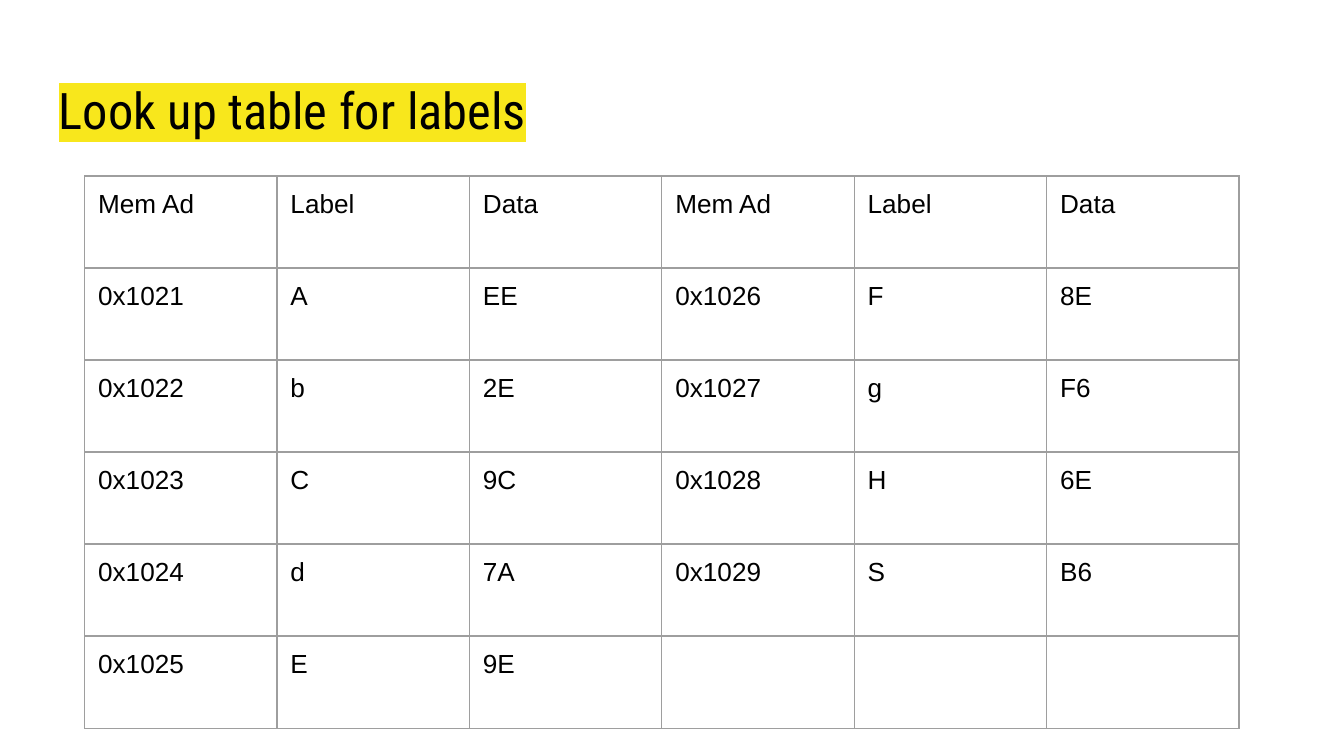
"""Build a slide with a look up table of labels, memory addresses and data."""
from lxml import etree
from pptx import Presentation
from pptx.dml.color import RGBColor
from pptx.enum import text as t
from pptx.oxml import ns
from pptx.util import Inches, Pt

BLACK = RGBColor(0x00, 0x00, 0x00)
YELLOW = RGBColor(0xF8, 0xE7, 0x1C)
GREY = RGBColor(0x9E, 0x9E, 0x9E)

TITLE = "Look up table for labels"
HEADINGS = ("Mem Ad", "Label", "Data")
FIRST_ADDRESS = 0x1021
ENTRIES = [
    ("A", "EE"), ("b", "2E"), ("C", "9C"), ("d", "7A"), ("E", "9E"),
    ("F", "8E"), ("g", "F6"), ("H", "6E"), ("S", "B6"),
]
ENTRIES_PER_BLOCK = 5
BLOCKS = 2
SLIDE_WIDTH = Inches(10)
SLIDE_HEIGHT = SLIDE_WIDTH * 9 // 16
LOOKUP_WIDTH, LOOKUP_HEIGHT = Inches(8.59), Inches(4.11)
INSET = Inches(0.1)


def add_color(parent, tag, color):
    holder = etree.SubElement(parent, ns.qn(tag))
    etree.SubElement(holder, ns.qn("a:srgbClr"), val=str(color))


def write(frame, content, font="Arial", size=14, color=BLACK, highlight=None):
    run = frame.paragraphs[0].add_run()
    run.text = content
    run.font.size = Pt(size)
    run.font.color.rgb = color
    if highlight is not None:
        add_color(run.font._element, "a:highlight", highlight)
    run.font.name = font


def set_insets(holder):
    holder.margin_left = holder.margin_right = INSET
    holder.margin_top = holder.margin_bottom = INSET


def add_borders(cell):
    properties = cell._tc.get_or_add_tcPr()
    for position, side in enumerate(("a:lnL", "a:lnR", "a:lnT", "a:lnB")):
        border = etree.Element(ns.qn(side), w=str(Pt(0.75)))
        add_color(border, "a:solidFill", GREY)
        properties.insert(position, border)


def add_title(slide):
    title = slide.shapes.add_textbox(Inches(0.34), Inches(0.49), Inches(9.32), Inches(0.63))
    frame = title.text_frame
    frame.word_wrap = True
    frame.auto_size = t.MSO_AUTO_SIZE.NONE
    frame.vertical_anchor = t.MSO_ANCHOR.TOP
    set_insets(frame)
    write(frame, TITLE, font="Roboto Condensed", size=27, highlight=YELLOW)


def add_lookup(slide):
    contents = {}
    for block in range(BLOCKS):
        for offset, heading in enumerate(HEADINGS):
            contents[0, block * len(HEADINGS) + offset] = heading
    for index, (label, data) in enumerate(ENTRIES):
        block, row = divmod(index, ENTRIES_PER_BLOCK)
        for offset, value in enumerate((f"0x{FIRST_ADDRESS + index:X}", label, data)):
            contents[row + 1, block * len(HEADINGS) + offset] = value

    rows, columns = ENTRIES_PER_BLOCK + 1, BLOCKS * len(HEADINGS)
    lookup = slide.shapes.add_table(
        rows, columns, Inches(0.63), Inches(1.31), LOOKUP_WIDTH, LOOKUP_HEIGHT
    ).table
    lookup.first_row = lookup.horz_banding = False
    for column in lookup.columns:
        column.width = LOOKUP_WIDTH // columns
    for row_index, row in enumerate(lookup.rows):
        row.height = LOOKUP_HEIGHT // rows
        for column_index, cell in enumerate(row.cells):
            cell.fill.background()
            set_insets(cell)
            add_borders(cell)
            if (row_index, column_index) in contents:
                write(cell.text_frame, contents[row_index, column_index])


def main():
    deck = Presentation()
    deck.slide_width, deck.slide_height = SLIDE_WIDTH, SLIDE_HEIGHT
    slide = deck.slides.add_slide(deck.slide_layouts[6])
    add_title(slide)
    add_lookup(slide)
    deck.save("out.pptx")


if __name__ == "__main__":
    main()
